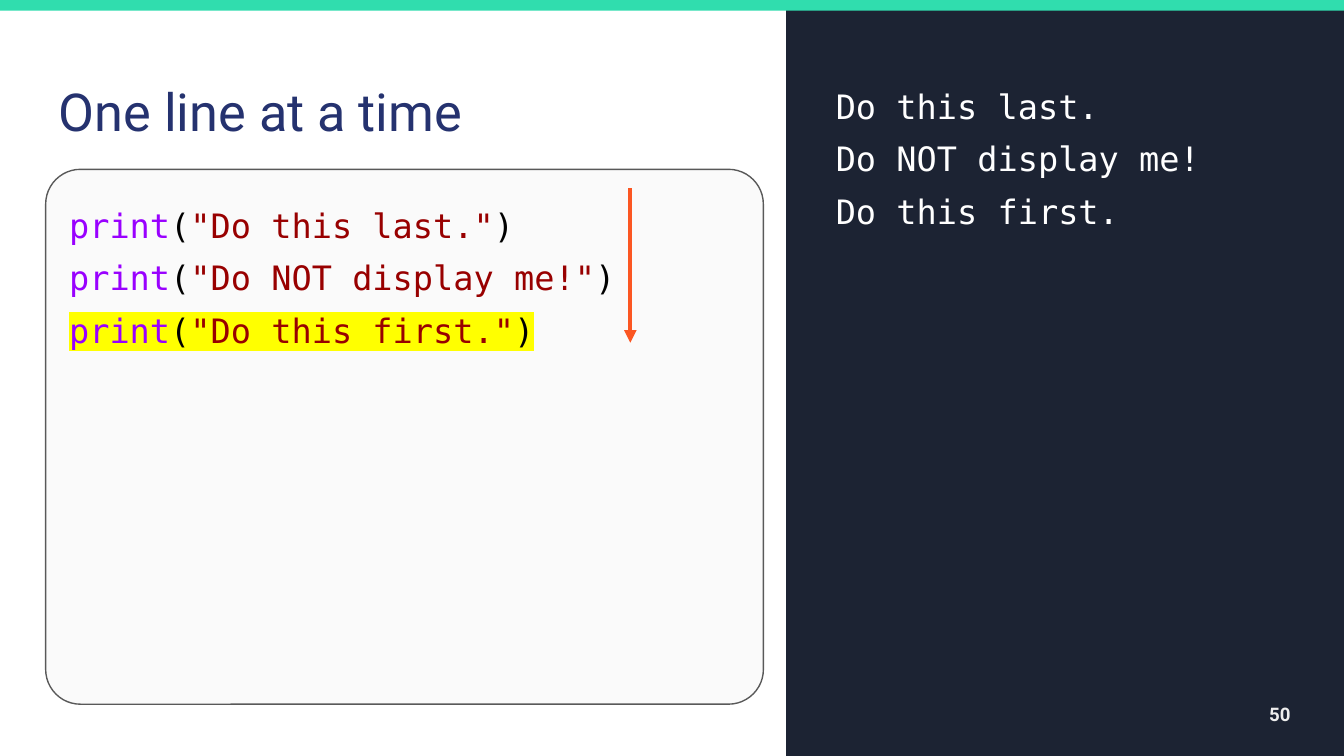
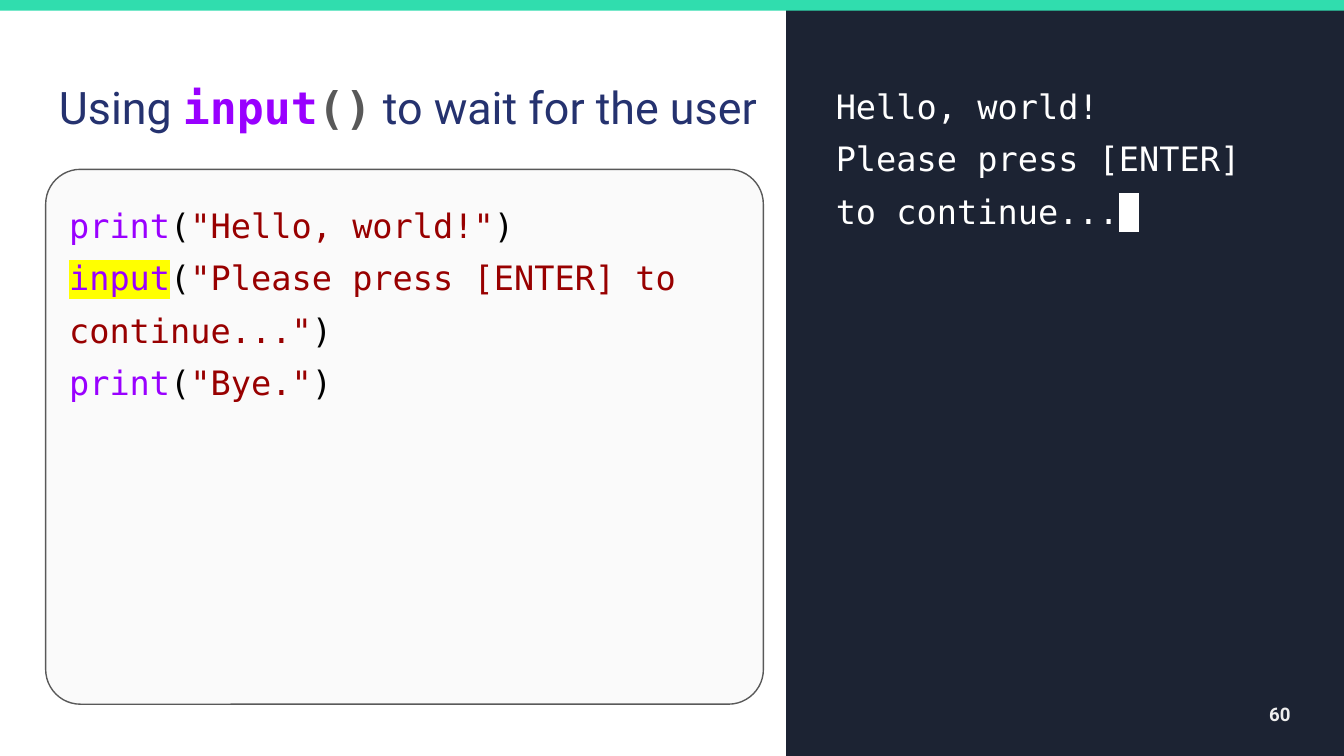
import pptx
import pptx.dml.color
import pptx.enum.shapes
import pptx.enum.text
import pptx.oxml.ns
import pptx.oxml.xmlchemy
import pptx.util
from dataclasses import dataclass
from lxml import etree
from typing import NamedTuple, Optional

COLUMNS, ROWS = 100, 56.25
SHAPES = pptx.enum.shapes.MSO_SHAPE
ALIGN = pptx.enum.text.PP_ALIGN
ANCHOR = pptx.enum.text.MSO_ANCHOR
qn = pptx.oxml.ns.qn


@dataclass(frozen=True)
class Theme:
    navy: str = "1C2333"
    mint: str = "30DDAE"
    title: str = "25326F"
    card: str = "FAFAFA"
    grey: str = "595959"
    call: str = "9900FF"
    literal: str = "980000"
    black: str = "000000"
    white: str = "FFFFFF"
    marker: str = "FFFF00"
    arrow: str = "FB5622"
    number: str = "EEEEEE"
    sans: str = "Roboto"
    mono: str = "DejaVu Sans Mono"
    code_size: int = 18
    number_size: int = 10
    code_spacing: float = 1.3


T = Theme()


class Box(NamedTuple):
    col: float
    row: float
    cols: float
    rows: float


class Piece(NamedTuple):
    text: str
    color: str
    font: str = T.mono
    bold: bool = False
    mark: Optional[str] = None


class CodeLine(NamedTuple):
    call: str
    literal: str
    mark_call: bool = False
    mark_rest: bool = False

    def pieces(self) -> list[Piece]:
        call_mark = T.marker if self.mark_call else None
        rest_mark = T.marker if self.mark_rest else None
        return [
            Piece(self.call, T.call, mark=call_mark),
            Piece("(", T.black, mark=rest_mark),
            Piece(f'"{self.literal}"', T.literal, mark=rest_mark),
            Piece(")", T.black, mark=rest_mark),
        ]


@dataclass(frozen=True)
class Lesson:
    title: list[Piece]
    title_size: int
    title_cols: float
    code: list[CodeLine]
    output: list[list[Piece]]
    number: int
    arrow: Optional[Box] = None


CONSOLE = Box(58.5, 0, 41.6, 56.4)
BAND = Box(-0.1, 0, 100.2, 0.8)
CARD = Box(3.4, 12.6, 53.4, 39.8)
OUTPUT = Box(61.2, 4.5, 35.8, 39.8)
NUMBER = Box(91, 51, 6, 4.3)

LESSONS = [
    Lesson(
        title=[Piece("One line at a time", T.title, T.sans)],
        title_size=28,
        title_cols=53.4,
        code=[
            CodeLine("print", "Do this last."),
            CodeLine("print", "Do NOT display me!"),
            CodeLine("print", "Do this first.", True, True),
        ],
        output=[
            [Piece("Do this last.", T.white)],
            [Piece("Do NOT display me!", T.white)],
            [Piece("Do this first.", T.white)],
        ],
        number=50,
        arrow=Box(46.9, 14, 0, 11.5),
    ),
    Lesson(
        title=[
            Piece("Using ", T.title, T.sans),
            Piece("input", T.call, bold=True),
            Piece("()", T.grey, bold=True),
            Piece(" to wait for the user", T.title, T.sans),
        ],
        title_size=24,
        title_cols=57,
        code=[
            CodeLine("print", "Hello, world!"),
            CodeLine("input", "Please press [ENTER] to continue...", True),
            CodeLine("print", "Bye."),
        ],
        output=[
            [Piece("Hello, world!", T.white)],
            [
                Piece("Please press [ENTER] to continue...", T.white),
                Piece("a", T.white, mark=T.white),
            ],
        ],
        number=60,
    ),
]


def rgb(color: str) -> pptx.dml.color.RGBColor:
    return pptx.dml.color.RGBColor.from_string(color)


def place(prs, box: Box) -> list[int]:
    col, row = prs.slide_width / COLUMNS, prs.slide_height / ROWS
    return [round(n * unit) for n, unit in zip(box, (col, row, col, row))]


def add_panel(prs, s, box: Box, color: str, kind=SHAPES.RECTANGLE):
    sp = s.shapes.add_shape(kind, *place(prs, box))
    sp.shadow.inherit = False
    sp.fill.solid()
    sp.fill.fore_color.rgb = rgb(color)
    sp.line.fill.background()
    return sp


def format_run(r, piece: Piece, size: int) -> None:
    r.font.size = pptx.util.Pt(size)
    r.font.bold = piece.bold
    r.font.color.rgb = rgb(piece.color)
    r.font.name = piece.font
    if piece.mark:
        highlight = etree.Element(qn("a:highlight"))
        etree.SubElement(highlight, qn("a:srgbClr"), val=piece.mark)
        r.font._element.find(qn("a:solidFill")).addnext(highlight)


def write(sp, lines: list[list[Piece]], size: int, spacing: float = 1.0,
          align=ALIGN.LEFT, anchor=ANCHOR.TOP) -> None:
    tf = sp.text_frame
    tf.word_wrap = True
    tf.vertical_anchor = anchor
    inset = pptx.util.Inches(0.1)
    tf.margin_left = tf.margin_top = tf.margin_right = tf.margin_bottom = inset
    for i, pieces in enumerate(lines):
        p = tf.add_paragraph() if i else tf.paragraphs[0]
        p.alignment = align
        p.line_spacing = spacing
        for piece in pieces:
            r = p.add_run()
            r.text = piece.text
            format_run(r, piece, size)


def add_text(prs, s, box: Box, lines: list[list[Piece]], size: int, **layout) -> None:
    write(s.shapes.add_textbox(*place(prs, box)), lines, size, **layout)


def add_card(prs, s, code: list[CodeLine]) -> None:
    sp = add_panel(prs, s, CARD, T.card, SHAPES.ROUNDED_RECTANGLE)
    sp.adjustments[0] = 0.065
    sp.line.color.rgb = rgb(T.grey)
    sp.line.width = pptx.util.Pt(0.75)
    write(sp, [line.pieces() for line in code], T.code_size, T.code_spacing)


def add_arrow(prs, s, box: Box) -> None:
    x, y, dx, dy = place(prs, box)
    line = s.shapes.add_connector(
        pptx.enum.shapes.MSO_CONNECTOR.STRAIGHT, x, y, x + dx, y + dy)
    line.line.color.rgb = rgb(T.arrow)
    line.line.width = pptx.util.Pt(2.25)
    etree.SubElement(line.line._get_or_add_ln(), qn("a:tailEnd"), type="triangle")
    etree.SubElement(line._element.spPr, qn("a:effectLst"))


def add_lesson(prs, lesson: Lesson) -> None:
    s = prs.slides.add_slide(prs.slide_layouts[6])
    s.background.fill.solid()
    s.background.fill.fore_color.rgb = rgb(T.white)
    add_panel(prs, s, CONSOLE, T.navy)
    add_card(prs, s, lesson.code)
    title_box = Box(CARD.col, 4.9, lesson.title_cols, 6.3)
    add_text(prs, s, title_box, [lesson.title], lesson.title_size)
    add_panel(prs, s, BAND, T.mint)
    number = Piece(str(lesson.number), T.number, T.sans, bold=True)
    add_text(prs, s, NUMBER, [[number]], T.number_size,
             align=ALIGN.RIGHT, anchor=ANCHOR.MIDDLE)
    add_text(prs, s, OUTPUT, lesson.output, T.code_size, spacing=T.code_spacing)
    if lesson.arrow:
        add_arrow(prs, s, lesson.arrow)


def main() -> None:
    prs = pptx.Presentation()
    prs.slide_width = pptx.util.Inches(10)
    prs.slide_height = prs.slide_width * 9 // 16
    for lesson in LESSONS:
        add_lesson(prs, lesson)
    prs.save("out.pptx")


if __name__ == "__main__":
    main()
